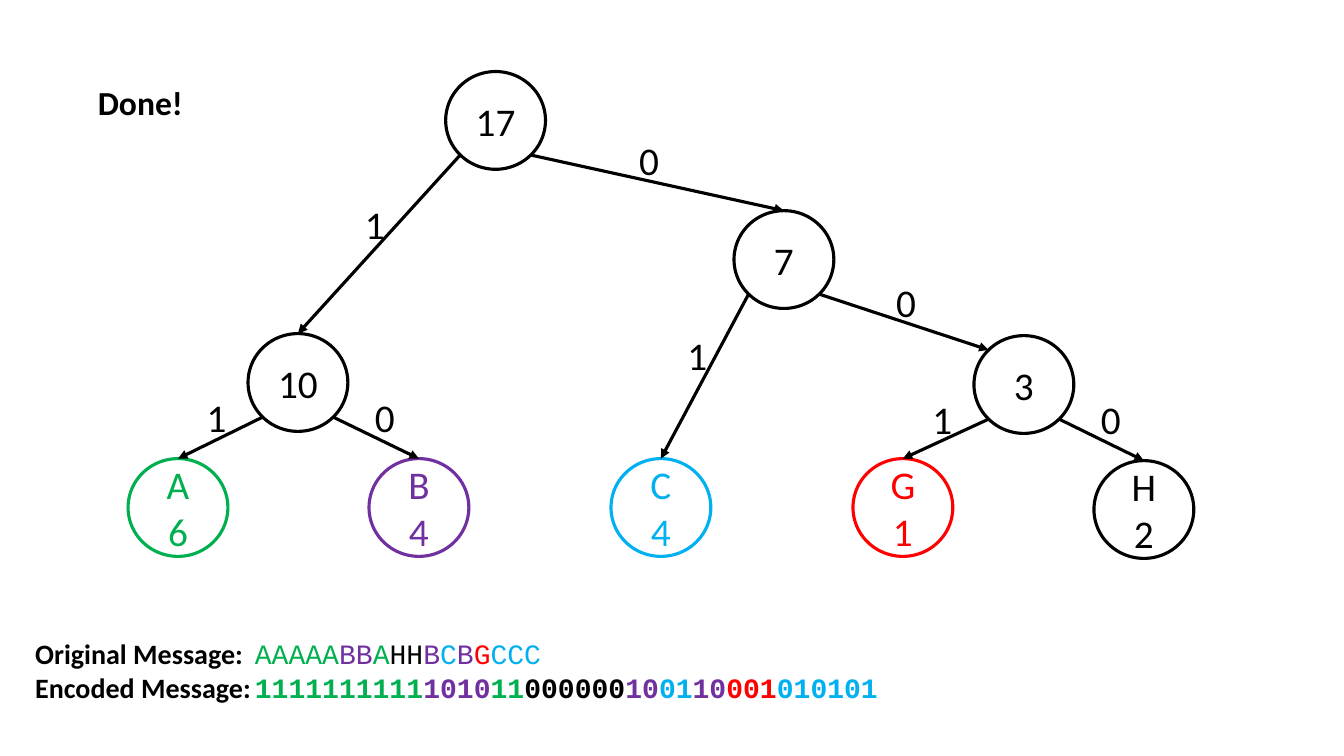
"""Build a slide with a finished Huffman tree and the message it encodes."""
from itertools import groupby

from lxml import etree
from pptx import Presentation
from pptx.dml.color import RGBColor
from pptx.enum.shapes import MSO_CONNECTOR, MSO_SHAPE
from pptx.enum.text import MSO_ANCHOR, MSO_AUTO_SIZE, PP_ALIGN
from pptx.oxml.ns import qn
from pptx.util import Inches, Pt

CENTER, LEFT = PP_ALIGN.CENTER, PP_ALIGN.LEFT
MIDDLE, TOP = MSO_ANCHOR.MIDDLE, MSO_ANCHOR.TOP
NO_AUTOFIT = MSO_AUTO_SIZE.NONE
OVAL, STRAIGHT = MSO_SHAPE.OVAL, MSO_CONNECTOR.STRAIGHT

COLORS = {
    "A": "00B050",
    "B": "7030A0",
    "C": "00B0F0",
    "G": "FF0000",
    "H": "000000",
    "text": "000000",
}
CODES = {"A": "11", "B": "10", "C": "01", "G": "001", "H": "000"}
MESSAGE = "AAAAABBAHHBCBGCCC"
NODE_W, NODE_H = 0.99, 0.97
LABEL_W, LABEL_H = 0.35, 0.57
NEAR, FAR = 0.146, 0.854

NODES = {
    "17": (4.42, 0.71),
    "10": (2.46, 3.31),
    "7": (7.28, 2.09),
    "3": (9.66, 3.33),
    "A\n6": (1.27, 4.55),
    "B\n4": (3.66, 4.55),
    "C\n4": (6.06, 4.55),
    "G\n1": (8.46, 4.55),
    "H\n2": (10.85, 4.57),
}
EDGES = [
    ("17", "10", "1", 3.52, 1.94),
    ("17", "7", "0", 6.24, 1.30),
    ("10", "A\n6", "1", 1.95, 3.85),
    ("10", "B\n4", "0", 3.62, 3.85),
    ("7", "C\n4", "1", 6.72, 3.24),
    ("7", "3", "0", 8.79, 2.71),
    ("3", "G\n1", "1", 9.15, 3.87),
    ("3", "H\n2", "0", 10.82, 3.87),
]


def rgb(key):
    return RGBColor.from_string(COLORS[key])


def style(p, size, key="text", align=LEFT):
    p.alignment = align
    p.font.name = "Calibri"
    p.font.size = Pt(size)
    p.font.color.rgb = rgb(key)


prs = Presentation()
prs.slide_width, prs.slide_height = Inches(13.33), Inches(7.5)
s = prs.slides.add_slide(prs.slide_layouts[5])

title = s.shapes.title
title.left, title.top = Inches(0.87), Inches(0.76)
title.width, title.height = Inches(2.67), Inches(0.5)
tf = title.text_frame
tf.text = "Done!"
tf.auto_size = NO_AUTOFIT
tf.vertical_anchor = TOP
style(tf.paragraphs[0], 24)
tf.paragraphs[0].font.bold = True

for text, (x, y) in NODES.items():
    key = text[0] if text[0] in CODES else "text"
    sp = s.shapes.add_shape(OVAL, Inches(x), Inches(y), Inches(NODE_W), Inches(NODE_H))
    sp.shadow.inherit = False
    sp.fill.background()
    sp.line.color.rgb = rgb(key)
    sp.line.width = Pt(2.25)
    tf = sp.text_frame
    tf.text = text
    tf.vertical_anchor = MIDDLE
    for p in tf.paragraphs:
        style(p, 28, key, CENTER)

for parent, child, bit, label_x, label_y in EDGES:
    (x1, y1), (x2, y2) = NODES[parent], NODES[child]
    start_x = x1 + NODE_W * (NEAR if bit == "1" else FAR)
    start_y = y1 + NODE_H * FAR
    end_x, end_y = x2 + NODE_W / 2, y2
    if child == "3":
        end_x, end_y = x2 + NODE_W * NEAR, y2 + NODE_H * NEAR
    line = s.shapes.add_connector(
        STRAIGHT, Inches(start_x), Inches(start_y), Inches(end_x), Inches(end_y))
    line.line.color.rgb = rgb("text")
    line.line.width = Pt(2.25)
    etree.SubElement(line.line._get_or_add_ln(), qn("a:tailEnd"), type="triangle")
    etree.SubElement(line._element.spPr, qn("a:effectLst"))

    label = s.shapes.add_textbox(
        Inches(label_x), Inches(label_y), Inches(LABEL_W), Inches(LABEL_H))
    tf = label.text_frame
    tf.word_wrap = False
    tf.text = bit
    style(tf.paragraphs[0], 28, align=CENTER)

box = s.shapes.add_textbox(Inches(0.25), Inches(6.27), Inches(13.08), Inches(0.77))
tf = box.text_frame
tf.word_wrap = True
original, encoded = tf.paragraphs[0], tf.add_paragraph()
for p, heading, codes, bold in (
    (original, "Original Message:", {c: c for c in CODES}, False),
    (encoded, "Encoded Message:", CODES, True),
):
    tabs = etree.SubElement(p._p.get_or_add_pPr(), qn("a:tabLst"))
    etree.SubElement(tabs, qn("a:tab"), pos=str(Inches(2.18)), algn="l")
    style(p, 20)
    r = p.add_run()
    r.text = heading + "\t"
    r.font.bold = True
    for letter, group in groupby(MESSAGE):
        r = p.add_run()
        r.text = "".join(codes[c] for c in group)
        r.font.name = "Courier New"
        r.font.bold = bold
        r.font.color.rgb = rgb(letter)

prs.save("out.pptx")
